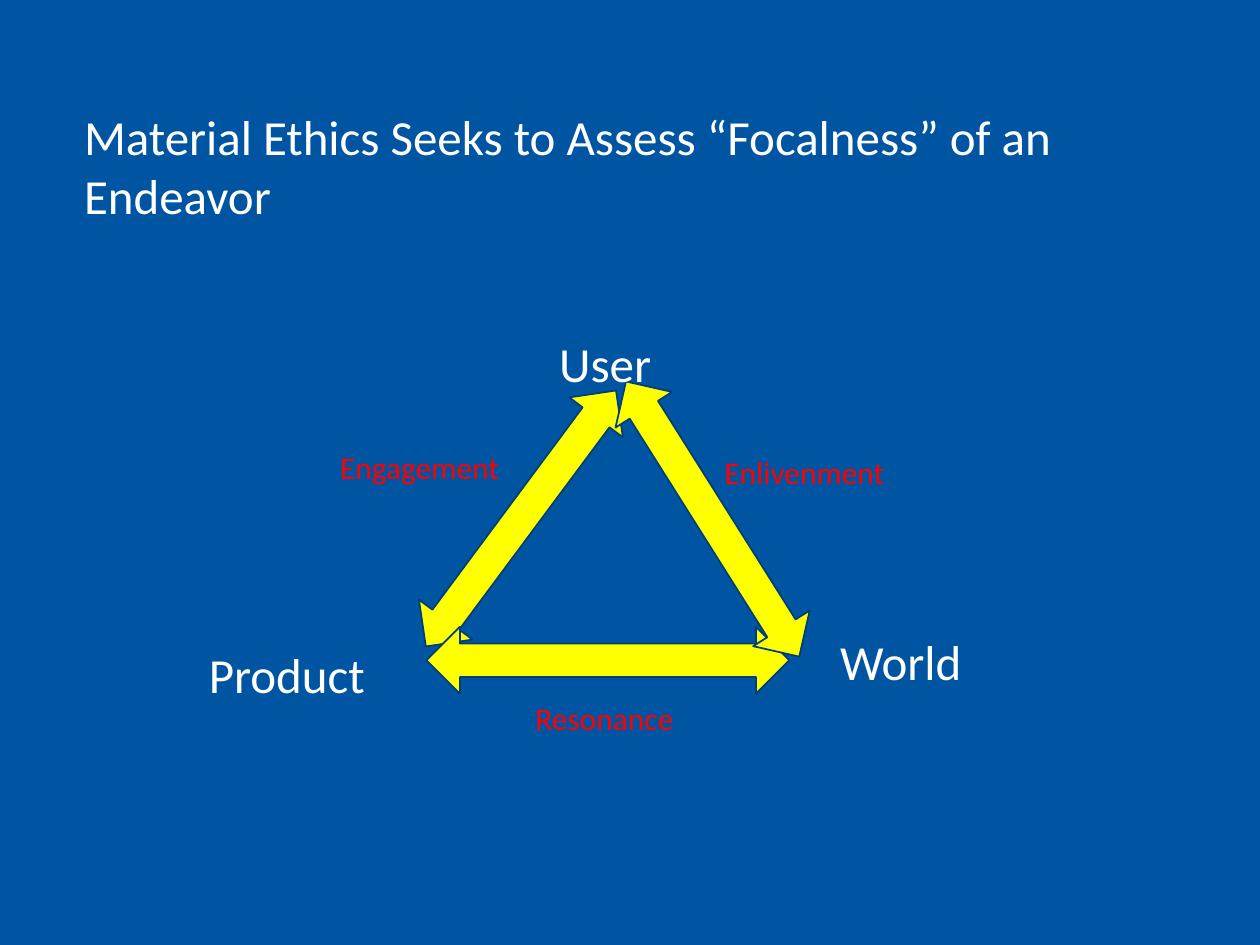
from pptx import Presentation
from pptx.dml.color import RGBColor
from pptx.enum.shapes import MSO_SHAPE
from pptx.enum.text import MSO_AUTO_SIZE
from pptx.util import Pt

ARROW = MSO_SHAPE.UP_DOWN_ARROW
FIT = MSO_AUTO_SIZE.SHAPE_TO_FIT_TEXT
FONT = "Calibri"
COLORS = {"back": "0055A2", "arrow": "FFFF00", "outline": "003F78",
          "text": "FFFFFF", "relation": "FF0000"}

# Content: text, left, top, width, height
TITLE = ("Material Ethics Seeks to Assess “Focalness” of an Endeavor",
         41, 57.6, 629.3, 74.9)
CORNERS = [
    ("User", 312.5, 187.2, 69.1, 41),
    ("Product", 112.3, 365, 115.2, 41),
    ("World", 473, 357.1, 98.6, 41),
]
RELATIONS = [
    ("Engagement", 187.2, 252.7, 112.3, 28.8),
    ("Enlivenment", 406.8, 255.6, 108, 28.8),
    ("Resonance", 298.8, 396, 127.4, 28.8),
]
# Triangle sides: centre x, centre y, length, rotation
SIDES = [
    (297.7, 296.3, 182.2, 36.6),
    (347.4, 377.3, 207.4, 90),
    (407.2, 296.6, 185.8, 147.8),
]
ARROW_WIDTH = 38.2


def color(name):
    return RGBColor.from_string(COLORS[name])


def add_arrow(slide, cx, cy, length, rotation):
    sp = slide.shapes.add_shape(ARROW, Pt(cx - ARROW_WIDTH / 2), Pt(cy - length / 2),
                                Pt(ARROW_WIDTH), Pt(length))
    sp.rotation = rotation
    sp.shadow.inherit = False
    sp.fill.solid()
    sp.fill.fore_color.rgb = color("arrow")
    sp.line.color.rgb = color("outline")
    sp.line.width = Pt(1)


def add_label(slide, text, left, top, width, height, size, color_name):
    sp = slide.shapes.add_textbox(Pt(left), Pt(top), Pt(width), Pt(height))
    tf = sp.text_frame
    tf.word_wrap = True
    tf.auto_size = FIT
    tf.text = text
    font = tf.paragraphs[0].runs[0].font
    font.name = FONT
    font.size = Pt(size)
    font.color.rgb = color(color_name)


def main():
    prs = Presentation()
    prs.slide_width, prs.slide_height = Pt(720), Pt(540)
    slide = prs.slides.add_slide(prs.slide_layouts[6])
    slide.background.fill.solid()
    slide.background.fill.fore_color.rgb = color("back")

    # Triangle of double arrows
    for side in SIDES:
        add_arrow(slide, *side)

    # Corner names, relation names and title
    for corner in CORNERS:
        add_label(slide, *corner, 28, "text")
    for relation in RELATIONS:
        add_label(slide, *relation, 18, "relation")
    add_label(slide, *TITLE, 28, "text")

    prs.save("out.pptx")


if __name__ == "__main__":
    main()
